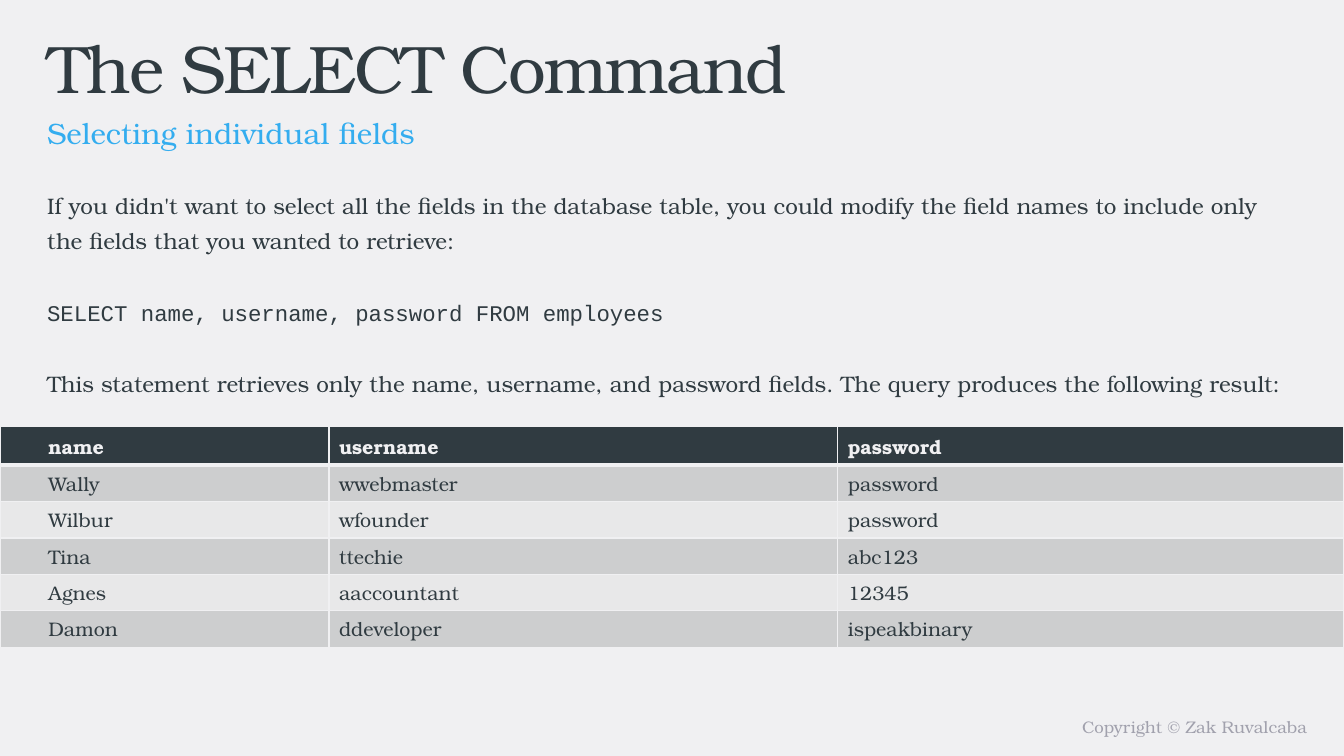
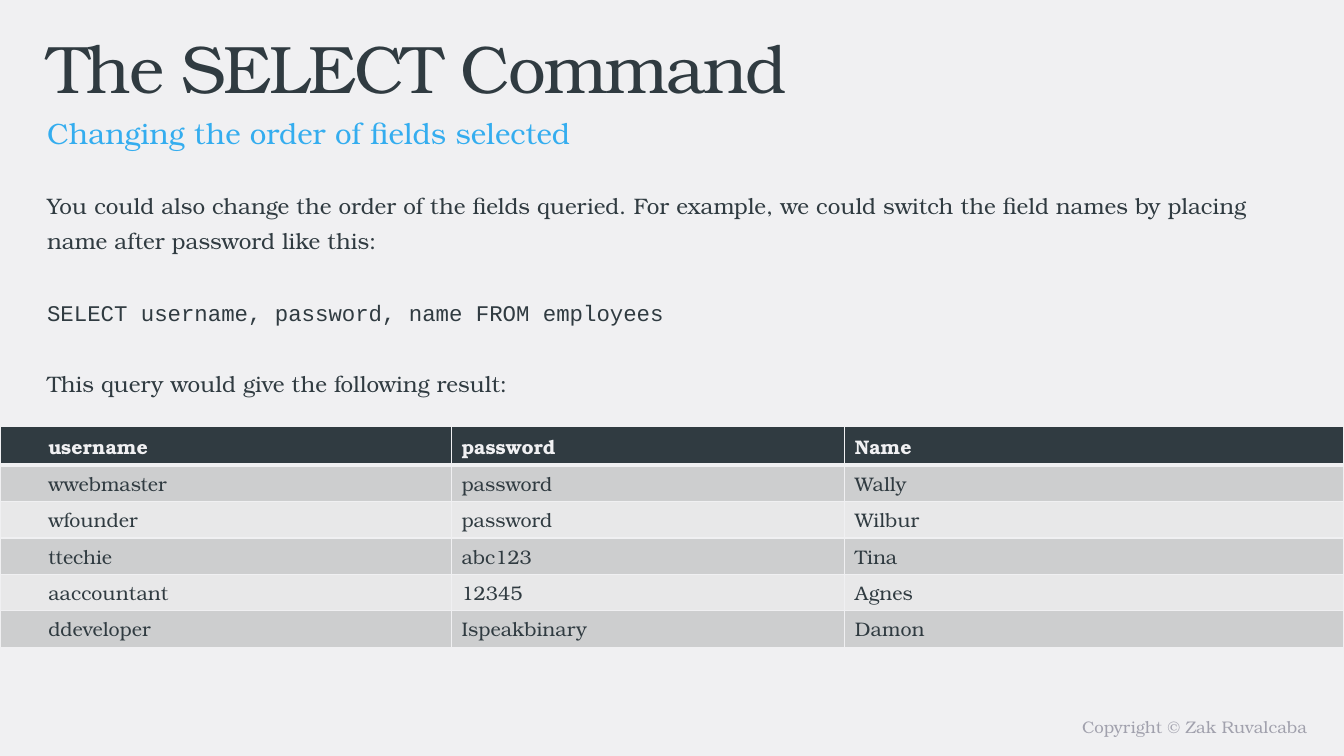
from dataclasses import dataclass

from lxml import etree
from pptx import Presentation
from pptx import util as u
from pptx.dml import color
from pptx.enum import text
from pptx.oxml import ns


@dataclass(frozen=True)
class Theme:
    font: str = "TeX Gyre Bonum"
    mono: str = "Courier New"
    paper: str = "F0F0F2"
    ink: str = "303B41"
    accent: str = "34ADEF"
    muted: str = "A1A1AD"
    bands: tuple = ("CDCECF", "E8E8E9")
    title: float = 48
    subtitle: float = 21
    body: float = 16
    cell: float = 14
    footer: float = 12
    line_spacing: float = 1.3
    paragraph_gap: float = 26


T = Theme()
WIDTH, HEIGHT = 960, 540
LEFT = 26.6
HEADER_HEIGHT, ROW_HEIGHT = 27.5, 26

SLIDES = [
    {
        "subtitle": "Selecting individual fields",
        "body": [
            ("If you didn't want to select all the fields in the database table, "
             "you could modify the field names to include only the fields that "
             "you wanted to retrieve:", T.font),
            ("SELECT name, username, password FROM employees", T.mono),
            ("This statement retrieves only the name, username, and password "
             "fields. The query produces the following result:", T.font),
        ],
        "columns": [235, 363.5, 361.5],
        "rows": [
            ("name", "username", "password"),
            ("Wally", "wwebmaster", "password"),
            ("Wilbur", "wfounder", "password"),
            ("Tina", "ttechie", "abc123"),
            ("Agnes", "aaccountant", "12345"),
            ("Damon", "ddeveloper", "ispeakbinary"),
        ],
    },
    {
        "subtitle": "Changing the order of fields selected",
        "body": [
            ("You could also change the order of the fields queried. For example, "
             "we could switch the field names by placing name after password "
             "like this:", T.font),
            ("SELECT username, password, name FROM employees", T.mono),
            ("This query would give the following result:", T.font),
        ],
        "columns": [322.5, 281, 356.5],
        "rows": [
            ("username", "password", "Name"),
            ("wwebmaster", "password", "Wally"),
            ("wfounder", "password", "Wilbur"),
            ("ttechie", "abc123", "Tina"),
            ("aaccountant", "12345", "Agnes"),
            ("ddeveloper", "Ispeakbinary", "Damon"),
        ],
    },
]


def rgb(value):
    return color.RGBColor.from_string(value)


def add_run(p, content, size, fill, font=T.font, bold=False):
    r = p.add_run()
    r.text = content
    r.font.name = font
    r.font.size = u.Pt(size)
    r.font.bold = bold
    r.font.color.rgb = rgb(fill)
    return r


def set_frame(tf):
    tf.word_wrap = True
    tf.auto_size = text.MSO_AUTO_SIZE.NONE
    tf.vertical_anchor = text.MSO_ANCHOR.TOP


def add_text(s, box, paragraphs, size, fill, spacing=1.0, align=text.PP_ALIGN.LEFT):
    sp = s.shapes.add_textbox(*map(u.Pt, box))
    tf = sp.text_frame
    set_frame(tf)
    for i, (content, font) in enumerate(paragraphs):
        p = tf.add_paragraph() if i else tf.paragraphs[0]
        p.alignment = align
        p.line_spacing = spacing
        if i:
            p.space_before = u.Pt(T.paragraph_gap)
        add_run(p, content, size, fill, font)
    return sp


def set_title(s, content):
    sp = s.shapes.title
    sp.left, sp.top, sp.width, sp.height = map(u.Pt, (LEFT, 15.1, 846.7, 56.9))
    tf = sp.text_frame
    set_frame(tf)
    p = tf.paragraphs[0]
    p.alignment = text.PP_ALIGN.LEFT
    r = add_run(p, content, T.title, T.ink)
    r.font._element.set("spc", "-150")


def set_borders(cell, **widths):
    tc_pr = cell._tc.get_or_add_tcPr()
    for side in "LRTB":
        ln = etree.SubElement(tc_pr, ns.qn(f"a:ln{side}"), w=str(u.Pt(widths.get(side, 1))))
        fill = etree.SubElement(ln, ns.qn("a:solidFill"))
        etree.SubElement(fill, ns.qn("a:srgbClr"), val=T.paper)


def format_cell(cell, content, row, col):
    header = row == 0
    set_borders(cell, B=3 if header else 1, T=3 if row == 1 else 1)
    cell.fill.solid()
    cell.fill.fore_color.rgb = rgb(T.ink if header else T.bands[(row - 1) % 2])
    cell.margin_left = u.Pt(7.2 if col else 34.5)
    cell.vertical_anchor = text.MSO_ANCHOR.MIDDLE
    add_run(cell.text_frame.paragraphs[0], content, T.cell,
            T.paper if header else T.ink, bold=header)


def add_result_table(s, columns, rows):
    height = HEADER_HEIGHT + ROW_HEIGHT * (len(rows) - 1)
    frame = s.shapes.add_table(len(rows), len(columns), 0, u.Pt(304.6),
                               u.Pt(WIDTH), u.Pt(height))
    table = frame.table
    for column, width in zip(table.columns, columns):
        column.width = u.Pt(width)
    for i, values in enumerate(rows):
        table.rows[i].height = u.Pt(ROW_HEIGHT if i else HEADER_HEIGHT)
        for j, value in enumerate(values):
            format_cell(table.cell(i, j), value, i, j)


def add_layout_footer(s):
    sp = add_text(s, (480, 508.3, 461, 22.3), [("Copyright © Zak Ruvalcaba", T.font)],
                  T.footer, T.muted, align=text.PP_ALIGN.RIGHT)
    s.slide_layout.shapes.element.append(sp.element)


def add_query_slide(prs, layout, content):
    s = prs.slides.add_slide(layout)
    set_title(s, "The SELECT Command")
    add_text(s, (LEFT, 128.2, 908, 164), content["body"], T.body, T.ink, T.line_spacing)
    add_text(s, (LEFT, 71.3, 846.7, 28), [(content["subtitle"], T.font)],
             T.subtitle, T.accent, T.line_spacing)
    add_result_table(s, content["columns"], content["rows"])
    return s


def main():
    prs = Presentation()
    prs.slide_width, prs.slide_height = u.Pt(WIDTH), u.Pt(HEIGHT)
    background = prs.slide_master.background.fill
    background.solid()
    background.fore_color.rgb = rgb(T.paper)
    layout = prs.slide_layouts.get_by_name("Title Only")
    slides = [add_query_slide(prs, layout, content) for content in SLIDES]
    add_layout_footer(slides[0])
    prs.save("out.pptx")


if __name__ == "__main__":
    main()
